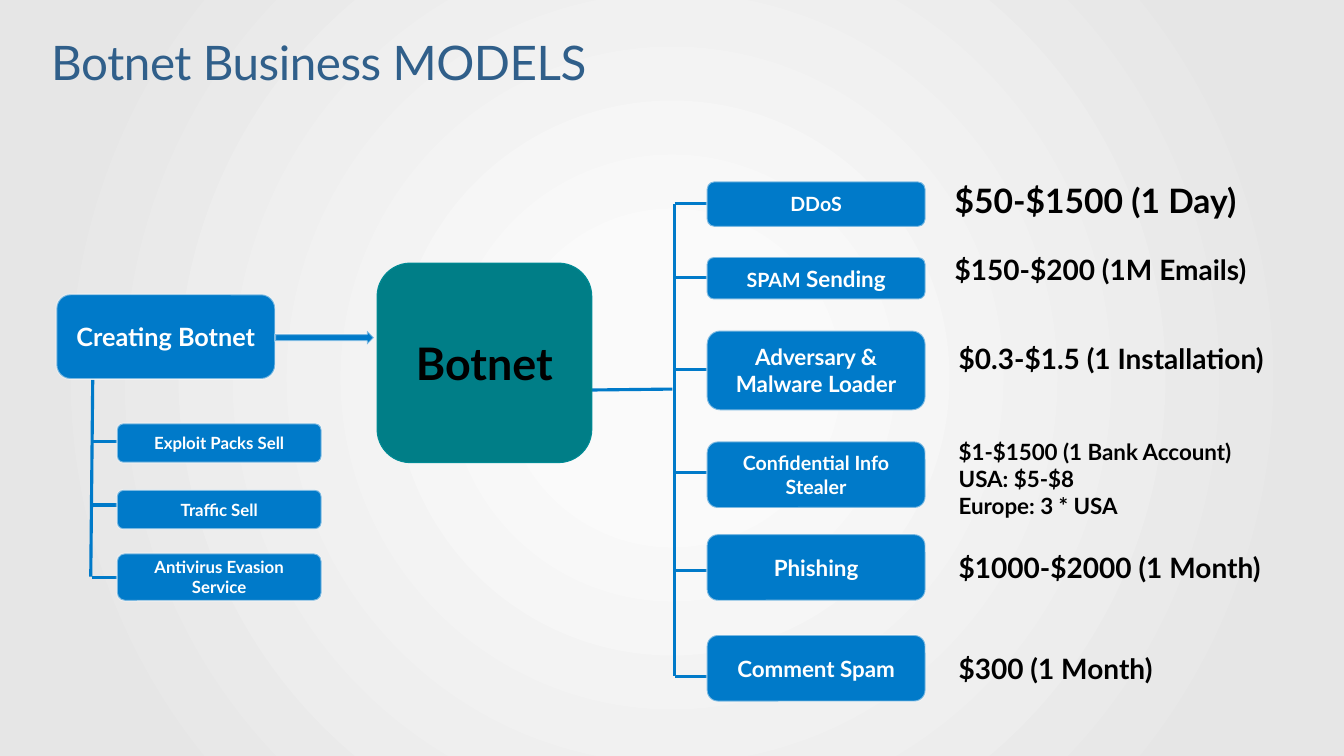
from dataclasses import dataclass

from lxml import etree
from pptx import Presentation
from pptx.dml.color import RGBColor
from pptx.enum.shapes import MSO_CONNECTOR, MSO_SHAPE
from pptx.enum.text import MSO_ANCHOR, MSO_AUTO_SIZE, PP_ALIGN
from pptx.oxml import parse_xml
from pptx.oxml.ns import qn
from pptx.util import Pt

STRAIGHT = MSO_CONNECTOR.STRAIGHT
ROUNDED = MSO_SHAPE.ROUNDED_RECTANGLE
RIGHT_ARROW = MSO_SHAPE.RIGHT_ARROW
MIDDLE, TOP = MSO_ANCHOR.MIDDLE, MSO_ANCHOR.TOP
CENTER, LEFT = PP_ALIGN.CENTER, PP_ALIGN.LEFT
GROW = MSO_AUTO_SIZE.SHAPE_TO_FIT_TEXT

EMU_PER_PX = 9144  # 100 px to the inch


@dataclass(frozen=True)
class Theme:
    font: str = "Lato"
    blue: str = "007AC9"
    teal: str = "007E87"
    teal_edge: str = "008B95"
    pale_edge: str = "F9F9F9"
    title: str = "305F8A"
    white: str = "FFFFFF"
    black: str = "000000"
    glow_inner: str = "FAFAFA"
    glow_outer: str = "E6E6E6"
    title_size: int = 34
    hub_size: int = 32
    top_price_size: int = 24
    price_size: int = 20
    source_size: int = 18
    large_size: int = 16
    medium_size: int = 14
    small_size: int = 12


THEME = Theme()

# Service runs, top, height, branch height, price lines, price left, top, height, size
SERVICES = [
    ([("DDoS", THEME.medium_size)], 180, 45, 202,
     "$50-$1500 (1 Day)", 937, 174, 50, THEME.top_price_size),
    ([("SPAM", THEME.medium_size), (" Sending", THEME.large_size)], 255, 42, 275,
     "$150-$200 (1M Emails)", 937, 246, 44, THEME.price_size),
    ([("Adversary & Malware Loader", THEME.large_size)], 328, 79, 367,
     "$0.3-$1.5 (1 Installation)", 941, 334, 44, THEME.price_size),
    ([("Confidential Info Stealer", THEME.medium_size)], 438, 66, 469,
     "$1-$1500 (1 Bank Account)\nUSA: $5-$8\nEurope: 3 * USA",
     941, 430, 94, THEME.large_size),
    ([("Phishing", THEME.large_size)], 530, 66, 566,
     "$1000-$2000 (1 Month)", 941, 541, 44, THEME.price_size),
    ([("Comment Spam", THEME.large_size)], 630, 66, 671,
     "$300 (1 Month)", 941, 641, 44, THEME.price_size),
]

# Supplier, top, height, branch height
SUPPLIERS = [
    ("Exploit Packs Sell", 420, 39, 438),
    ("Traffic Sell", 486, 39, 501),
    ("Antivirus Evasion Service", 549, 47, 573),
]


def px(*lengths):
    return [length * EMU_PER_PX for length in lengths]


def rgb(color):
    return RGBColor.from_string(color)


def style_run(run, size, color, bold):
    run.font.name = THEME.font
    run.font.size = Pt(size)
    run.font.bold = bold
    run.font.color.rgb = rgb(color)


def paint_background(slide):
    """Fill the slide with a round glow that darkens towards the edges."""
    fill = slide.background.fill
    fill.gradient()
    stops = fill.gradient_stops
    for stop, position, color in zip(
            stops, (0.15, 0.85), (THEME.glow_inner, THEME.glow_outer)):
        stop.position = position
        stop.color.rgb = rgb(color)
    gradient = slide._element.find(".//" + qn("a:gradFill"))
    gradient.remove(gradient.find(qn("a:lin")))
    gradient.append(parse_xml(
        '<a:path xmlns:a="http://schemas.openxmlformats.org/drawingml/2006/main"'
        ' path="circle"><a:fillToRect l="50000" t="50000" r="50000" b="50000"/>'
        '</a:path>'))


def add_line(slide, x1, y1, x2, y2):
    line = slide.shapes.add_connector(STRAIGHT, *px(x1, y1, x2, y2))
    line.line.color.rgb = rgb(THEME.blue)
    line.line.width = Pt(2.25)
    etree.SubElement(line._element.spPr, qn("a:effectLst"))


def add_panel(slide, kind, bounds, fill, edge, edge_width):
    panel = slide.shapes.add_shape(kind, *px(*bounds))
    panel.shadow.inherit = False
    panel.fill.solid()
    panel.fill.fore_color.rgb = rgb(fill)
    panel.line.color.rgb = rgb(edge)
    panel.line.width = Pt(edge_width)
    return panel


def add_blue_panel(slide, kind, bounds):
    """Add a blue shape with a half-transparent pale edge."""
    panel = add_panel(slide, kind, bounds, THEME.blue, THEME.pale_edge, 1.35)
    edge_color = panel._element.spPr.find(
        qn("a:ln") + "//" + qn("a:srgbClr"))
    etree.SubElement(edge_color, qn("a:alpha"), val="50000")
    return panel


def label(panel, runs, color):
    frame = panel.text_frame
    frame.word_wrap = True
    frame.vertical_anchor = MIDDLE
    paragraph = frame.paragraphs[0]
    paragraph.alignment = CENTER
    for text, size in runs:
        run = paragraph.add_run()
        run.text = text
        style_run(run, size, color, True)


def add_blue_box(slide, bounds, runs):
    label(add_blue_panel(slide, ROUNDED, bounds), runs, THEME.white)


def add_text(slide, bounds, text, size, color, bold):
    frame = slide.shapes.add_textbox(*px(*bounds)).text_frame
    frame.word_wrap = True
    frame.vertical_anchor = TOP
    frame.text = text
    for paragraph in frame.paragraphs:
        paragraph.alignment = LEFT
        for run in paragraph.runs:
            style_run(run, size, color, bold)
    return frame


def add_title(slide, text):
    frame = add_text(slide, (41, 39, 802, 121), text,
                     THEME.title_size, THEME.title, False)
    paragraph = frame.paragraphs[0]
    paragraph.line_spacing = 0.8
    paragraph.runs[0].font._element.set("spc", "-30")


def add_suppliers(slide):
    add_line(slide, 92, 377, 90, 572)
    for name, top, height, branch in SUPPLIERS:
        add_line(slide, 91, branch, 126, branch)
        add_blue_box(slide, (116, top, 203, height), [(name, THEME.small_size)])


def add_services(slide):
    add_line(slide, 667, 386, 581, 387)
    add_line(slide, 669, 202, 669, 671)
    for runs, top, height, branch, price, left, price_top, price_height, size in SERVICES:
        add_line(slide, 669, branch, 705, branch)
        add_blue_box(slide, (701, top, 217, height), runs)
        frame = add_text(slide, (left, price_top, 378, price_height), price,
                         size, THEME.black, True)
        frame.auto_size = GROW


def main():
    deck = Presentation()
    deck.slide_width, deck.slide_height = px(1333, 750)
    slide = deck.slides.add_slide(deck.slide_layouts[6])
    paint_background(slide)
    add_title(slide, "Botnet Business MODELS")
    add_suppliers(slide)
    add_services(slide)
    add_blue_box(slide, (56, 292, 217, 84), [("Creating Botnet", THEME.source_size)])
    add_blue_panel(slide, RIGHT_ARROW, (273, 328, 98, 14))
    hub = add_panel(slide, ROUNDED, (374, 261, 213, 198),
                    THEME.teal, THEME.teal_edge, 0.75)
    label(hub, [("Botnet", THEME.hub_size)], THEME.black)
    deck.save("out.pptx")


if __name__ == "__main__":
    main()
